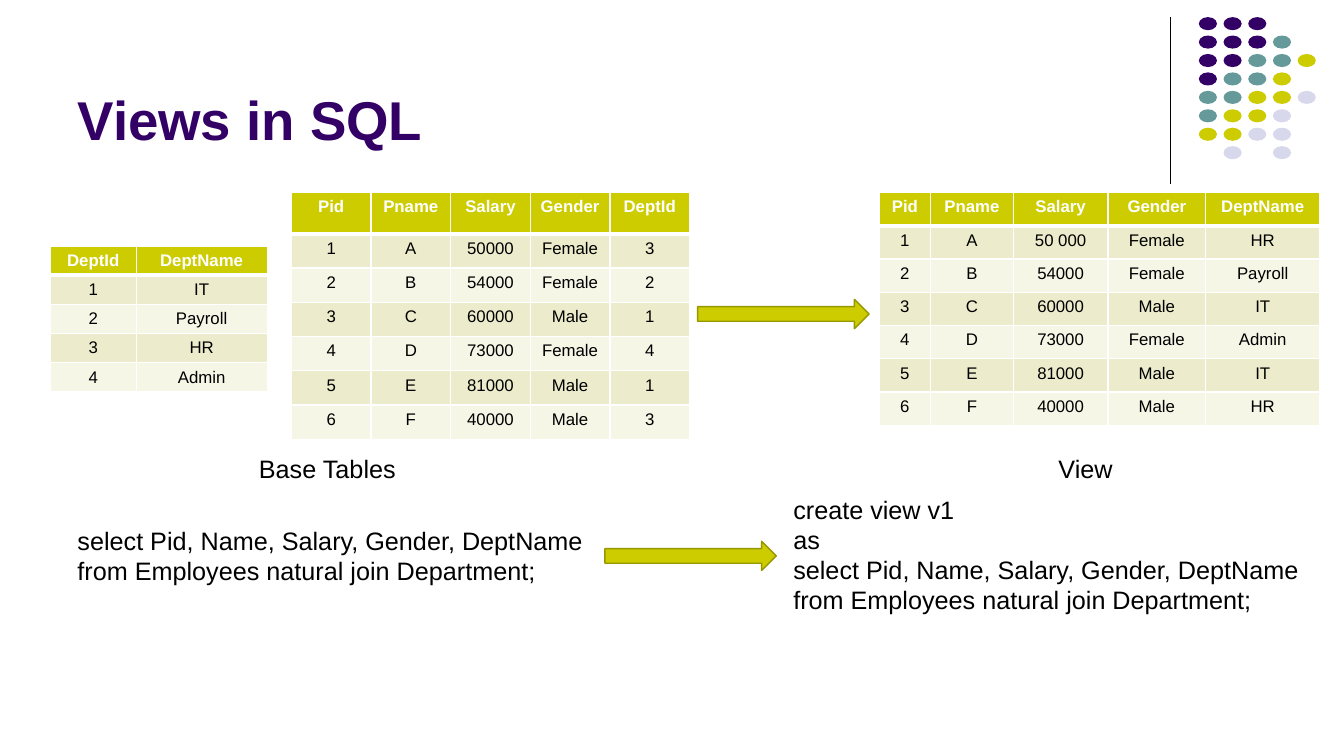
import pptx
import pptx.dml.color
import pptx.enum.shapes
import pptx.enum.text
import pptx.oxml
import pptx.oxml.ns
import pptx.util

Inches = pptx.util.Inches
Pt = pptx.util.Pt
SHAPE = pptx.enum.shapes.MSO_SHAPE
ALIGN = pptx.enum.text.PP_ALIGN
ANCHOR = pptx.enum.text.MSO_ANCHOR

PURPLE, TEAL, LIME, PALE = "330066", "669999", "CCCC00", "D8D8EC"
BLACK, WHITE = "000000", "FFFFFF"
BANDS = ["ECECCC", "F6F6E7"]
DOTS = ["PPP", "PPPT", "PPTTL", "PTTL", "TTLLG", "TLLG", "LLGG", " G G"]
DOT_COLORS = {"P": PURPLE, "T": TEAL, "L": LIME, "G": PALE}

DEPARTMENTS = {"1": "IT", "2": "Payroll", "3": "HR", "4": "Admin"}
EMPLOYEES = [
    ["1", "A", "50000", "Female", "3"],
    ["2", "B", "54000", "Female", "2"],
    ["3", "C", "60000", "Male", "1"],
    ["4", "D", "73000", "Female", "4"],
    ["5", "E", "81000", "Male", "1"],
    ["6", "F", "40000", "Male", "3"],
]
EMPLOYEE_FIELDS = ["Pid", "Pname", "Salary", "Gender"]
QUERY = ["select Pid, Name, Salary, Gender, DeptName",
         "from Employees natural join Department;"]


def rgb(color):
    return pptx.dml.color.RGBColor.from_string(color)


def write(tf, lines, size=18, color=BLACK, bold=False, align=ALIGN.LEFT):
    for i, line in enumerate(lines):
        p = tf.paragraphs[0] if i == 0 else tf.add_paragraph()
        p.alignment = align
        r = p.add_run()
        r.text = line
        r.font.name = "Arial"
        r.font.size = Pt(size)
        r.font.bold = bold
        r.font.color.rgb = rgb(color)


def add_text(s, box, lines, **fmt):
    tf = s.shapes.add_textbox(*map(Inches, box)).text_frame
    tf.word_wrap = True
    write(tf, lines, **fmt)


def add_preset(s, kind, box, fill, line=None):
    sp = s.shapes.add_shape(kind, *map(Inches, box))
    sp.shadow.inherit = False
    sp.fill.solid()
    sp.fill.fore_color.rgb = rgb(fill)
    if line:
        sp.line.color.rgb = rgb(line)
        sp.line.width = Pt(1)
    else:
        sp.line.fill.background()


def add_arrow(s, box):
    add_preset(s, SHAPE.RIGHT_ARROW, box, LIME, line="979700")


def set_borders(cell, top, bottom):
    tcPr = cell._tc.get_or_add_tcPr()
    widths = {"lnL": 1, "lnR": 1, "lnT": top, "lnB": bottom}
    for i, (tag, width) in enumerate(widths.items()):
        tcPr.insert(i, pptx.oxml.parse_xml(
            f'<a:{tag} {pptx.oxml.ns.nsdecls("a")} w="{Pt(width)}"><a:solidFill>'
            f'<a:srgbClr val="{WHITE}"/></a:solidFill></a:{tag}>'))


def add_grid(s, box, rows, col_widths, header_height, row_height):
    table = s.shapes.add_table(len(rows), len(rows[0]), *map(Inches, box)).table
    table.horz_banding = False
    for col, width in zip(table.columns, col_widths):
        col.width = Inches(width)
    for i, values in enumerate(rows):
        head = i == 0
        table.rows[i].height = Inches(header_height if head else row_height)
        for j, value in enumerate(values):
            cell = table.cell(i, j)
            cell.fill.solid()
            cell.fill.fore_color.rgb = rgb(LIME if head else BANDS[(i - 1) % 2])
            set_borders(cell, top=3 if i == 1 else 1, bottom=3 if head else 1)
            write(cell.text_frame, [value], size=12, bold=head,
                  color=WHITE if head else BLACK, align=ALIGN.CENTER)


def add_ornament(s, box):
    x, y, w, h = box
    line = s.shapes.add_connector(pptx.enum.shapes.MSO_CONNECTOR.STRAIGHT,
                                  Inches(x), Inches(y), Inches(x), Inches(y + h))
    line.line.color.rgb = rgb(BLACK)
    line.line.width = Pt(0.75)
    line._element.spPr.append(pptx.oxml.parse_xml(
        f'<a:effectLst {pptx.oxml.ns.nsdecls("a")}/>'))
    dot_w, dot_h, left = 0.18, 0.13, 0.28
    step_x = (w - left - dot_w) / 4
    step_y = 1.28 / (len(DOTS) - 1)
    for i, row in enumerate(DOTS):
        for j, key in enumerate(row):
            if key in DOT_COLORS:
                add_preset(s, SHAPE.OVAL, (x + left + j * step_x, y + i * step_y,
                                           dot_w, dot_h), DOT_COLORS[key])


def add_title(s, box, text):
    sp = s.shapes.title
    sp.left, sp.top, sp.width, sp.height = map(Inches, box)
    tf = sp.text_frame
    tf.auto_size = pptx.enum.text.MSO_AUTO_SIZE.NONE
    tf.vertical_anchor = ANCHOR.BOTTOM
    write(tf, [text], size=39, color=PURPLE, bold=True)


def add_base_tables(s, box):
    x, y, w, h = box
    departments = [["DeptId", "DeptName"], *map(list, DEPARTMENTS.items())]
    add_grid(s, (x, y + 0.53, 2.15, 1.45), departments, [0.85, 1.3], 0.29, 0.29)
    employees = [EMPLOYEE_FIELDS + ["DeptId"], *EMPLOYEES]
    add_grid(s, (x + 2.39, y, w - 2.39, 2.47), employees, [0.79] * 5, 0.41, 0.34)
    add_text(s, (x + 1.97, y + h - 0.4, 1.76, 0.4), ["Base Tables"])


def add_view(s, box):
    x, y, w, h = box
    rows = [EMPLOYEE_FIELDS + ["DeptName"]]
    rows += [e[:4] + [DEPARTMENTS[e[4]]] for e in EMPLOYEES]
    rows[1][2] = "50 000"
    add_grid(s, (x, y, w, 2.34), rows, [0.51, 0.82, 0.94, 0.97, 1.13], 0.33, 0.33)
    add_text(s, (x + 1.68, y + h - 0.4, 1.76, 0.4), ["View"])


def add_statements(s, box):
    x, y, w, h = box
    add_text(s, (x, y + 0.31, 5.27, 0.71), QUERY)
    add_arrow(s, (x + 5.33, y + 0.52, 1.7, 0.29))
    add_text(s, (x + w - 5.27, y, 5.27, h), ["create view v1", "as", *QUERY])


def main():
    prs = pptx.Presentation()
    prs.slide_width, prs.slide_height = Inches(13.33), Inches(7.5)
    s = prs.slides.add_slide(prs.slide_layouts[5])
    add_ornament(s, (11.61, 0.17, 1.44, 1.66))
    add_title(s, (0.67, 0.13, 11, 1.42), "Views in SQL")
    add_base_tables(s, (0.5, 1.91, 6.34, 2.94))
    add_arrow(s, (6.92, 2.97, 1.7, 0.29))
    add_view(s, (8.72, 1.91, 4.37, 2.94))
    add_statements(s, (0.67, 4.85, 12.37, 1.62))
    prs.save("out.pptx")


if __name__ == "__main__":
    main()
